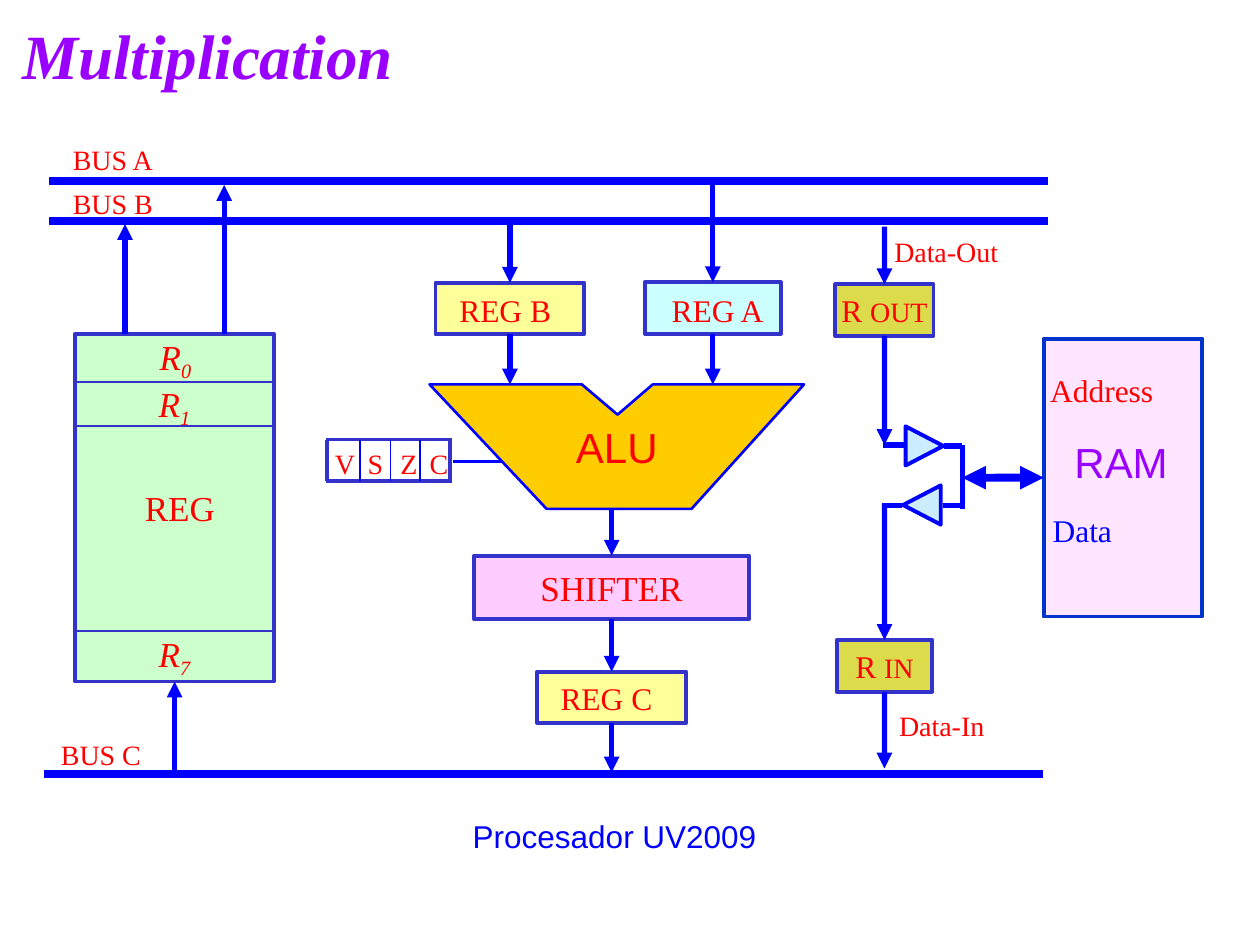
from dataclasses import dataclass
from typing import Optional

import lxml.etree
import pptx
import pptx.dml.color
import pptx.enum.shapes
import pptx.enum.text
import pptx.oxml.ns
import pptx.util

Cm, Pt = pptx.util.Cm, pptx.util.Pt
qn = pptx.oxml.ns.qn
SHAPE = pptx.enum.shapes.MSO_SHAPE
ALIGN = pptx.enum.text.PP_ALIGN
ANCHOR = pptx.enum.text.MSO_ANCHOR
SERIF, SANS = "Times New Roman", "Arial"
RED, BLUE, INDIGO, PURPLE = "FF0000", "0000FF", "3333CC", "9900FF"


@dataclass
class Box:
    key: str  # used by wires to refer to the box
    at: tuple  # left, top, width, height in cm
    fill: str
    alpha: int = 100
    line: str = INDIGO
    runs: tuple = ()  # (text, size) pairs


@dataclass
class Label:
    text: str
    at: tuple
    size: int
    color: str = RED
    font: str = SERIF
    center: bool = False
    spacing: Optional[float] = None
    wrap: bool = True
    bold: bool = False
    italic: bool = False
    sub: str = ""


@dataclass
class Wire:
    start: tuple  # (x, y) in cm, or (box key, side)
    end: tuple
    width: float = 3
    color: str = BLUE
    arrows: str = ""  # "tail" is the arrowhead at the end, "head" at the start


def rgb(color: str) -> pptx.dml.color.RGBColor:
    return pptx.dml.color.RGBColor.from_string(color)


def paint(sp, fill: str, line: str, width: float, alpha: int = 100) -> None:
    sp.shadow.inherit = False
    sp.fill.solid()
    sp.fill.fore_color.rgb = rgb(fill)
    if alpha < 100:
        clr = sp.fill._xPr.find(".//" + qn("a:srgbClr"))
        lxml.etree.SubElement(clr, qn("a:alpha")).set("val", str(alpha * 1000))
    sp.line.color.rgb = rgb(line)
    sp.line.width = Pt(width)


def style(font, name: str, size: float, color: str) -> None:
    font.name, font.size = name, Pt(size)
    font.color.rgb = rgb(color)


def write_centered(sp, runs: tuple, font: str, wrap: bool) -> None:
    tf = sp.text_frame
    tf.word_wrap, tf.vertical_anchor = wrap, ANCHOR.MIDDLE
    p = tf.paragraphs[0]
    p.alignment = ALIGN.CENTER
    for text, size in runs:
        r = p.add_run()
        r.text = text
        style(r.font, font, size, RED)


def draw_box(s, box: Box):
    sp = s.shapes.add_shape(SHAPE.RECTANGLE, *map(Cm, box.at))
    paint(sp, box.fill, box.line, 2.25, box.alpha)
    if box.runs:
        write_centered(sp, box.runs, SERIF, False)
    return sp


def draw_label(s, label: Label):
    sp = s.shapes.add_textbox(*map(Cm, label.at))
    tf = sp.text_frame
    tf.word_wrap = label.wrap
    p = tf.paragraphs[0]
    p.alignment = ALIGN.CENTER if label.center else ALIGN.LEFT
    if label.spacing:
        p.line_spacing = label.spacing
    style(p.font, label.font, label.size, label.color)
    p.font.bold, p.font.italic = label.bold, label.italic
    p.add_run().text = label.text
    if label.sub:
        r = p.add_run()
        r.text = label.sub
        r.font._element.set("baseline", "-25000")
    return sp


def locate(end: tuple, boxes: dict) -> tuple:
    if not isinstance(end[0], str):
        return Cm(end[0]), Cm(end[1])
    sp, side = boxes[end[0]], end[1]
    dx, dy = ((1, 0), (0, 1), (1, 2), (2, 1))[side]
    return sp.left + sp.width * dx // 2, sp.top + sp.height * dy // 2


def draw_wire(s, wire: Wire, boxes: dict) -> None:
    cxn = s.shapes.add_connector(pptx.enum.shapes.MSO_CONNECTOR.STRAIGHT,
                                 *locate(wire.start, boxes), *locate(wire.end, boxes))
    for end, join in ((wire.start, cxn.begin_connect), (wire.end, cxn.end_connect)):
        if isinstance(end[0], str):
            join(boxes[end[0]], end[1])
    cxn.line.color.rgb = rgb(wire.color)
    cxn.line.width = Pt(wire.width)
    for tip in wire.arrows.split():
        lxml.etree.SubElement(cxn.line._get_or_add_ln(), qn(f"a:{tip}End")).set("type", "triangle")
    lxml.etree.SubElement(cxn._element.spPr, qn("a:effectLst"))


def draw_alu(s) -> None:
    points = [(8.66, 7.75), (11.73, 7.75), (12.45, 8.36), (13.16, 7.75),
              (16.21, 7.75), (13.94, 10.26), (11.02, 10.26)]
    points = [(Cm(x), Cm(y)) for x, y in points]
    fb = s.shapes.build_freeform(*points[0])
    fb.add_line_segments(points[1:], close=True)
    sp = fb.convert_to_shape()
    paint(sp, "FFCC00", BLUE, 1.5)
    write_centered(sp, (("ALU", 24),), SANS, True)


BOXES = [
    Box("file", (1.52, 6.73, 4, 7.01), "CCFFCC"),
    Box("B", (8.78, 5.7, 3, 1.04), "FFFF99"),
    Box("A", (13, 5.69, 2.74, 1.04), "CCFFFF"),
    Box("shifter", (9.56, 11.2, 5.54, 1.28), "FFCCFF", runs=(("SHIFTER", 20),)),
    Box("C", (10.83, 13.54, 3, 1.04), "FFFF99"),
    Box("out", (16.84, 5.73, 1.98, 1.04), "CCCC00", 70, runs=(("R ", 18), ("OUT", 16))),
    Box("in", (16.87, 12.9, 1.92, 1.05), "CCCC00", 70, runs=(("R ", 18), ("IN", 16))),
    Box("ram", (21.04, 6.83, 3.2, 5.6), "FFCCFF", 50, "0033CC"),
]

# Arrows between buses, registers and units
ARROWS = [Wire(start, end, arrows="tail") for start, end in (
    ((3.52, 15.52), ("file", 2)),
    ((2.52, 6.73), (2.52, 4.52)),
    ((4.52, 6.73), (4.52, 3.73)),
    ((14.37, 3.73), ("A", 0)),
    ((10.28, 4.52), ("B", 0)),
    (("A", 2), (14.37, 7.75)),
    (("B", 2), (10.28, 7.75)),
    ((12.33, 10.24), ("shifter", 0)),
    (("shifter", 2), ("C", 0)),
    (("C", 2), (12.33, 15.57)),
    ((17.83, 4.57), ("out", 0)),
    (("out", 2), (17.83, 8.97)),
    ((17.83, 10.16), ("in", 0)),
    (("in", 2), (17.83, 15.49)),
)] + [Wire((19.4, 9.63), ("ram", 1), 4.5, arrows="head tail")]

# Plain lines: register dividers, flag cells, buffer wiring, buses
LINES = (
    [Wire((1.52, y), (5.52, y), 1.5, INDIGO) for y in (7.7, 8.59, 12.72)]
    + [Wire((6.58, y), (9.12, y), 2.25, INDIGO) for y in (8.86, 9.7)]
    + [Wire((x, 8.86), (x, 9.7), 2.25, INDIGO) for x in (6.6, 9.07)]
    + [Wire((x, 8.86), (x, 9.7), 1) for x in (7.26, 7.87, 8.46)]
    + [Wire((9.14, 9.3), (10.16, 9.3), 2)]
    + [Wire((x1, y), (x2, y)) for x1, x2, y in (
        (17.81, 18.24, 8.97), (19.02, 19.4, 8.99), (17.78, 18.19, 10.19), (19, 19.4, 10.19))]
    + [Wire((19.4, 8.97), (19.4, 10.26))]
    + [Wire((x, y), (x + 20.14, y), 4.5) for x, y in ((0.99, 3.65), (0.99, 4.46), (0.89, 15.6))]
)

LABELS = (
    [Label("Multiplication", (0.2, 0.2, 22.99, 1.78), 36, PURPLE, bold=True, italic=True),
     Label("REG", (2.67, 9.68, 1.98, 1.12), 20),
     Label("RAM", (21.41, 8.67, 2.41, 1.27), 24, PURPLE, SANS),
     Label("Data", (20.97, 10.17, 1.83, 1.02), 18, BLUE),
     Label("Address", (20.92, 7.35, 2.74, 1.02), 18)]
    + [Label("R", (x, y, 1.14, 1.22), 20, wrap=False, italic=True, sub=n)
       for n, x, y in (("0", 2.97, 6.63), ("1", 2.95, 7.58), ("7", 2.95, 12.62))]
    + [Label(f"BUS {n}", (x, y, 3.78, 0.94), 16)
       for n, x, y in (("A", 1.22, 2.74), ("B", 1.22, 3.63), ("C", 0.98, 14.74))]
    + [Label(f"REG {n}", (x, y, w, 1.02), 18)
       for n, x, y, w in (("A", 13.29, 5.74, 3.51), ("B", 9.01, 5.74, 3.78), ("C", 11.05, 13.56, 3.51))]
    + [Label(f"Data-{n}", (x, y, 3.43, 0.74), 16, center=True, spacing=0.7)
       for n, x, y in (("In", 17.27, 14.35), ("Out", 17.36, 4.78))]
    + [Label(n, (x, 8.87, 0.66, 0.84), 16, center=True)
       for n, x in (("V", 6.5), ("S", 7.16), ("Z", 7.82), ("C", 8.41))]
)


def main() -> None:
    prs = pptx.Presentation()
    prs.slide_width, prs.slide_height = Cm(25.4), Cm(19.05)
    s = prs.slides.add_slide(prs.slide_layouts[6])

    boxes = {box.key: draw_box(s, box) for box in BOXES}
    for wire in ARROWS + LINES:
        draw_wire(s, wire, boxes)
    draw_alu(s)

    # Buffers between the data registers and the RAM
    for x, y, angle in ((18.24, 8.61, 90), (18.19, 9.8, 270)):
        sp = s.shapes.add_shape(SHAPE.ISOSCELES_TRIANGLE, Cm(x), Cm(y), Cm(0.79), Cm(0.76))
        sp.rotation = angle
        paint(sp, "CCECFF", BLUE, 2.25)

    for label in LABELS:
        draw_label(s, label)

    # Caption, without margins
    tf = draw_label(s, Label("Procesador UV2009", (9.53, 16.46, 5.72, 0.76), 18, BLUE, SANS,
                             center=True, wrap=False)).text_frame
    tf.margin_left = tf.margin_right = tf.margin_top = tf.margin_bottom = 0
    tf.vertical_anchor = ANCHOR.MIDDLE

    prs.save("out.pptx")


if __name__ == "__main__":
    main()
